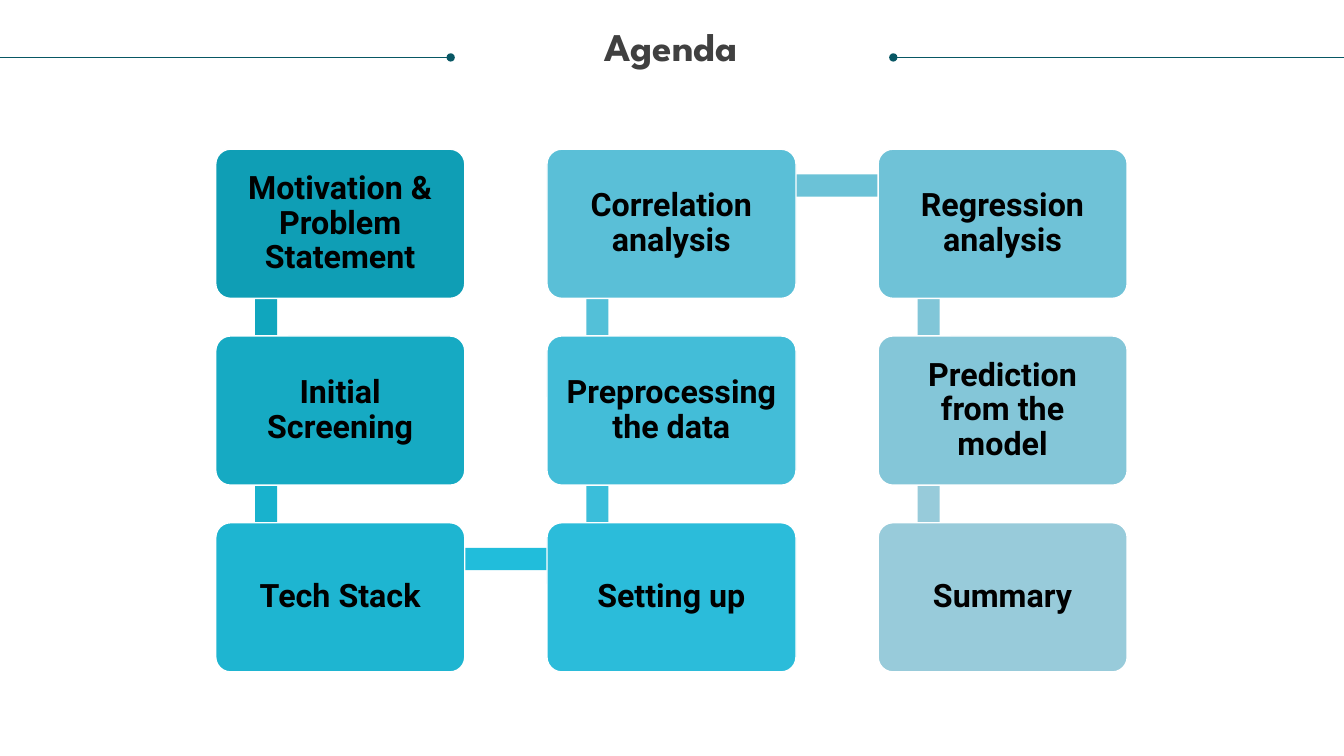
from lxml.etree import SubElement
from pptx import Presentation
from pptx.dml.color import RGBColor
from pptx.enum.shapes import MSO_CONNECTOR, MSO_SHAPE
from pptx.enum.text import MSO_ANCHOR, PP_ALIGN
from pptx.oxml.ns import qn
from pptx.util import Inches, Pt

COLORS = {"rule": "085764", "title": "404040", "text": "000000", "edge": "FFFFFF"}

# Step text, box colour, colour of the link to the next step
STEPS = [
    ("Motivation & Problem Statement", "0F9EB5", "10A6BE"),
    ("Initial Screening", "16AAC3", "18B2CD"),
    ("Tech Stack", "1EB5D1", "21BDDB"),
    ("Setting up", "2BBCDA", "3ABEDA"),
    ("Preprocessing the data", "43BDD8", "53C0D8"),
    ("Correlation analysis", "5ABFD7", "6BC2D7"),
    ("Regression analysis", "6FC2D7", "81C6D8"),
    ("Prediction from the model", "84C6D8", "97CBDA"),
    ("Summary", "98CBDA", None),
]

# Grid of boxes, in inches
ROWS = 3
LEFT, TOP = 2.14, 1.48
WIDE, HIGH = 2.47, 1.48
STEP_X, STEP_Y = 3.285, 1.853
THICK = 0.22

TITLE = {"name": "League Spartan", "size": Pt(28), "bold": True}
LABEL = {"name": "Roboto", "size": Pt(23), "bold": True}


def rgb(code):
    return RGBColor.from_string(code)


def set_text(shape, text, style, color, anchor, inset):
    frame = shape.text_frame
    frame.text = text
    margins = ("margin_left", "margin_top", "margin_right", "margin_bottom")
    layout = {"word_wrap": True, "vertical_anchor": anchor}
    layout.update(dict.fromkeys(margins, Inches(inset)))
    for key, value in layout.items():
        setattr(frame, key, value)
    para = frame.paragraphs[0]
    para.alignment = PP_ALIGN.CENTER
    para.line_spacing = 0.9
    font = para.runs[0].font
    for key, value in style.items():
        setattr(font, key, value)
    font.color.rgb = rgb(color)


def add_title(slide, text):
    title = slide.shapes.title
    title.left, title.top = Inches(0.24), Inches(0.27)
    title.width, title.height = Inches(12.83), Inches(0.85)
    set_text(title, text, TITLE, COLORS["title"], MSO_ANCHOR.TOP, 0)


def add_rule(slide, start, stop, end):
    y = Inches(0.57)
    rule = slide.shapes.add_connector(
        MSO_CONNECTOR.STRAIGHT, Inches(start), y, Inches(stop), y)
    rule.line.color.rgb = rgb(COLORS["rule"])
    rule.line.width = Pt(0.5)
    SubElement(rule.line._get_or_add_ln(), qn(f"a:{end}"), type="oval")
    SubElement(rule._element.spPr, qn("a:effectLst"))


def add_block(slide, kind, x, y, wide, high, color):
    block = slide.shapes.add_shape(
        kind, Inches(x), Inches(y), Inches(wide), Inches(high))
    block.shadow.inherit = False
    block.fill.solid()
    block.fill.fore_color.rgb = rgb(color)
    block.line.fill.background()
    return block


def add_link(slide, here, there, color):
    (x, y), (next_x, next_y) = here, there
    if x == next_x:
        area = (x + 0.39, min(y, next_y) + 0.35, THICK, STEP_Y)
    else:
        area = (x + 0.5, y + 0.25, STEP_X, THICK)
    add_block(slide, MSO_SHAPE.RECTANGLE, *area, color)


def add_box(slide, spot, text, color):
    box = add_block(slide, MSO_SHAPE.ROUNDED_RECTANGLE, *spot, WIDE, HIGH, color)
    box.adjustments[0] = 0.1
    box.line.color.rgb = rgb(COLORS["edge"])
    box.line.width = Pt(1)
    set_text(box, text, LABEL, COLORS["text"], MSO_ANCHOR.MIDDLE, 0.1)


def find_spot(index):
    # Columns run down, up, then down again
    col, row = divmod(index, ROWS)
    if col % 2:
        row = ROWS - 1 - row
    return LEFT + col * STEP_X, TOP + row * STEP_Y


def main():
    deck = Presentation()
    deck.slide_width, deck.slide_height = Inches(13.33), Inches(7.5)
    slide = deck.slides.add_slide(deck.slide_layouts[5])

    # Header
    add_rule(slide, 0, 4.47, "tailEnd")
    add_rule(slide, 8.86, 13.33, "headEnd")
    add_title(slide, "Agenda")

    # Agenda path: each link lies beneath the boxes it joins
    for index, (text, color, link) in enumerate(STEPS):
        spot = find_spot(index)
        if link:
            add_link(slide, spot, find_spot(index + 1), link)
        add_box(slide, spot, text, color)

    deck.save("out.pptx")


if __name__ == "__main__":
    main()
